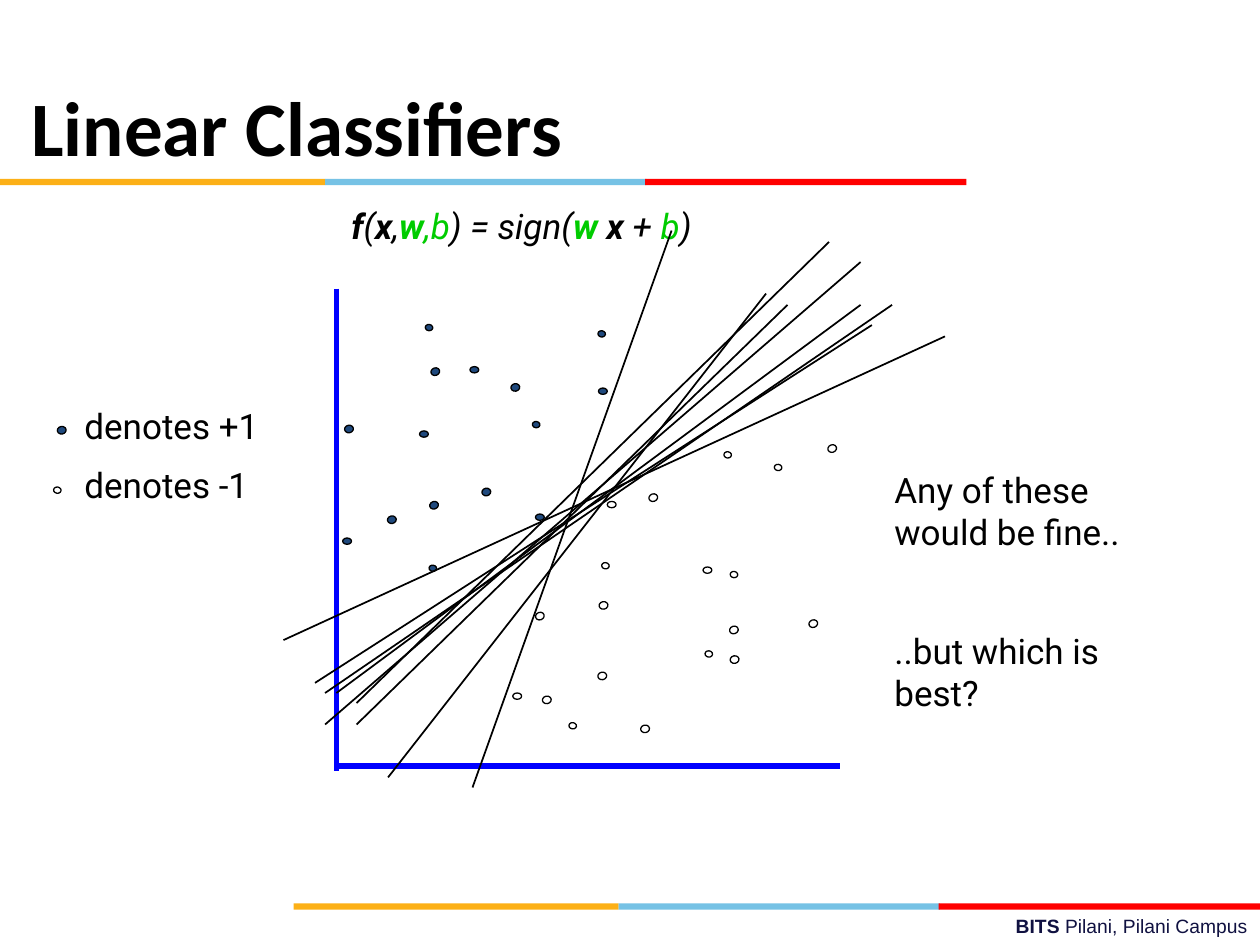
from lxml import etree
from pptx import Presentation
from pptx.dml.color import RGBColor
from pptx.enum.shapes import MSO_CONNECTOR, MSO_SHAPE
from pptx.enum.text import MSO_ANCHOR, PP_ALIGN
from pptx.oxml.ns import qn
from pptx.util import Inches, Pt

RECTANGLE, OVAL = MSO_SHAPE.RECTANGLE, MSO_SHAPE.OVAL
STRAIGHT = MSO_CONNECTOR.STRAIGHT
TOP, BOTTOM = MSO_ANCHOR.TOP, MSO_ANCHOR.BOTTOM
LEFT, RIGHT = PP_ALIGN.LEFT, PP_ALIGN.RIGHT

COLORS = {
    "black": "000000", "white": "FFFFFF", "navy": "1F497D", "axis": "0000FF",
    "green": "00CC00", "footer": "101141",
    "gold": "FCB017", "sky": "76C2E5", "red": "FF0000",
}

TITLE = [[("Linear Classifiers", {"bold": True})]]
FOOTER = [[("BITS ", {"bold": True}), ("Pilani, Pilani Campus", {})]]
LEGEND = [[("denotes +1", {})], [("denotes -1", {})]]
REMARKS = [[("Any of these would be fine..", {})], [("..but which is best?", {})]]
GREEN = {"color": "green"}
BOLD = {"bold": True}
FORMULA = [[
    ("f", BOLD), ("(", {}), ("x", BOLD), (",", {}), ("w", GREEN | BOLD),
    (",b", GREEN), (") = sign(", {}), ("w", GREEN | BOLD), (" x ", BOLD),
    ("+ ", {}), ("b", GREEN), (")", {}),
]]

STRIPE = [("gold", 0, 2.58), ("sky", 2.58, 2.55), ("red", 5.12, 2.55)]
STRIPE_ORIGINS = [(0, 1.42), (2.33, 7.17)]

AXES = [(2.67, 2.29, 2.67, 6.12), (2.67, 6.08, 6.67, 6.08)]
SEPARATORS = [
    (3.75, 6.25, 5.33, 1.83), (2.5, 5.42, 6.92, 2.58), (2.83, 5.75, 6.25, 2.42),
    (2.25, 5.08, 7.5, 2.67), (2.67, 5.5, 6.83, 2.42), (2.58, 5.75, 6.83, 2.08),
    (2.83, 5.58, 6.58, 1.92), (3.08, 6.17, 6.08, 2.33), (2.58, 5.5, 7.08, 2.42),
]

DOT_GROUPS = [
    {"rotation": 0, "size": (0.07, 0.05),
     "navy": [(2.72, 4.27), (4.75, 3.08), (3.73, 2.91), (4.25, 4.08), (3.33, 3.42)],
     "white": [(4.07, 5.5), (4.82, 3.98), (5.58, 4.5)]},
    {"rotation": 341.4, "size": (0.07, 0.06),
     "navy": [(3.42, 2.92), (3.41, 3.98)],
     "white": [(4.25, 4.86), (6.57, 3.53), (5.79, 4.97), (5.15, 3.92), (6.42, 4.92)]},
    {"rotation": 98.3, "size": (0.05, 0.06),
     "navy": [(4.23, 3.34), (3.41, 4.48), (4.75, 2.62), (3.38, 2.57)],
     "white": [(0.43, 3.86), (4.52, 5.73), (5.8, 4.53), (4.78, 4.46),
               (6.15, 3.68), (5.75, 3.58), (5.6, 5.16)]},
    {"rotation": 79.6, "size": (0.06, 0.07),
     "navy": [(0.46, 3.38), (3.83, 3.87), (3.08, 4.09), (4.06, 3.04), (2.74, 3.37)],
     "white": [(5.09, 5.75), (4.75, 5.33), (4.76, 4.77), (4.31, 5.52), (5.8, 5.2)]},
]


def rgb(name):
    return RGBColor.from_string(COLORS[name])


def add_text(page, paragraphs, place, font="Roboto", size=20, color="black",
             italic=False, align=LEFT, anchor=TOP, inset=0.1, gap=0):
    box = page.shapes.add_textbox(*map(Inches, place))
    frame = box.text_frame
    frame.word_wrap = True
    frame.vertical_anchor = anchor
    frame.margin_left = Inches(inset)
    for index, spans in enumerate(paragraphs):
        para = frame.paragraphs[0] if index == 0 else frame.add_paragraph()
        para.alignment = align
        if index:
            para.space_before = Pt(gap)
        for text, style in spans:
            span = para.add_run()
            span.text = text
            span.font.name = font
            span.font.size = Pt(size)
            span.font.italic = italic
            span.font.bold = style.get("bold", False)
            span.font.color.rgb = rgb(style.get("color", color))


def add_shape(page, kind, place, fill, outlined=False, rotation=0):
    shape = page.shapes.add_shape(kind, *map(Inches, place))
    shape.shadow.inherit = False
    shape.rotation = rotation
    shape.fill.solid()
    shape.fill.fore_color.rgb = rgb(fill)
    if outlined:
        shape.line.color.rgb = rgb("black")
        shape.line.width = Pt(0.75)
    else:
        shape.line.fill.background()


def add_line(page, ends, color, width):
    line = page.shapes.add_connector(STRAIGHT, *map(Inches, ends))
    line.line.color.rgb = rgb(color)
    line.line.width = Pt(width)
    etree.SubElement(line._element.spPr, qn("a:effectLst"))


def main():
    deck = Presentation()
    deck.slide_width, deck.slide_height = Inches(10), Inches(7.5)
    page = deck.slides.add_slide(deck.slide_layouts[6])

    add_text(page, FOOTER, (3.58, 7.21, 6.42, 0.29), font="Arial", size=11,
             color="footer", align=RIGHT)
    for left, top in STRIPE_ORIGINS:
        for color, offset, width in STRIPE:
            add_shape(page, RECTANGLE, (left + offset, top, width, 0.05), color)

    add_text(page, LEGEND, (0.43, 3.16, 2.08, 0.93), inset=0.24, gap=10)
    for ends in AXES:
        add_line(page, ends, "axis", 3)
    for group in DOT_GROUPS:
        for color in ("navy", "white"):
            for corner in group[color]:
                add_shape(page, OVAL, corner + group["size"], color,
                          outlined=True, rotation=group["rotation"])

    add_text(page, FORMULA, (2.69, 1.57, 3.5, 0.43), italic=True)
    for ends in SEPARATORS:
        add_line(page, ends, "black", 1)
    add_text(page, REMARKS, (7, 3.67, 2.42, 2.1), gap=44)
    add_text(page, TITLE, (0, 0.66, 5.08, 0.75), font="Calibri", size=44,
             anchor=BOTTOM, inset=0.25)
    deck.save("out.pptx")


if __name__ == "__main__":
    main()
